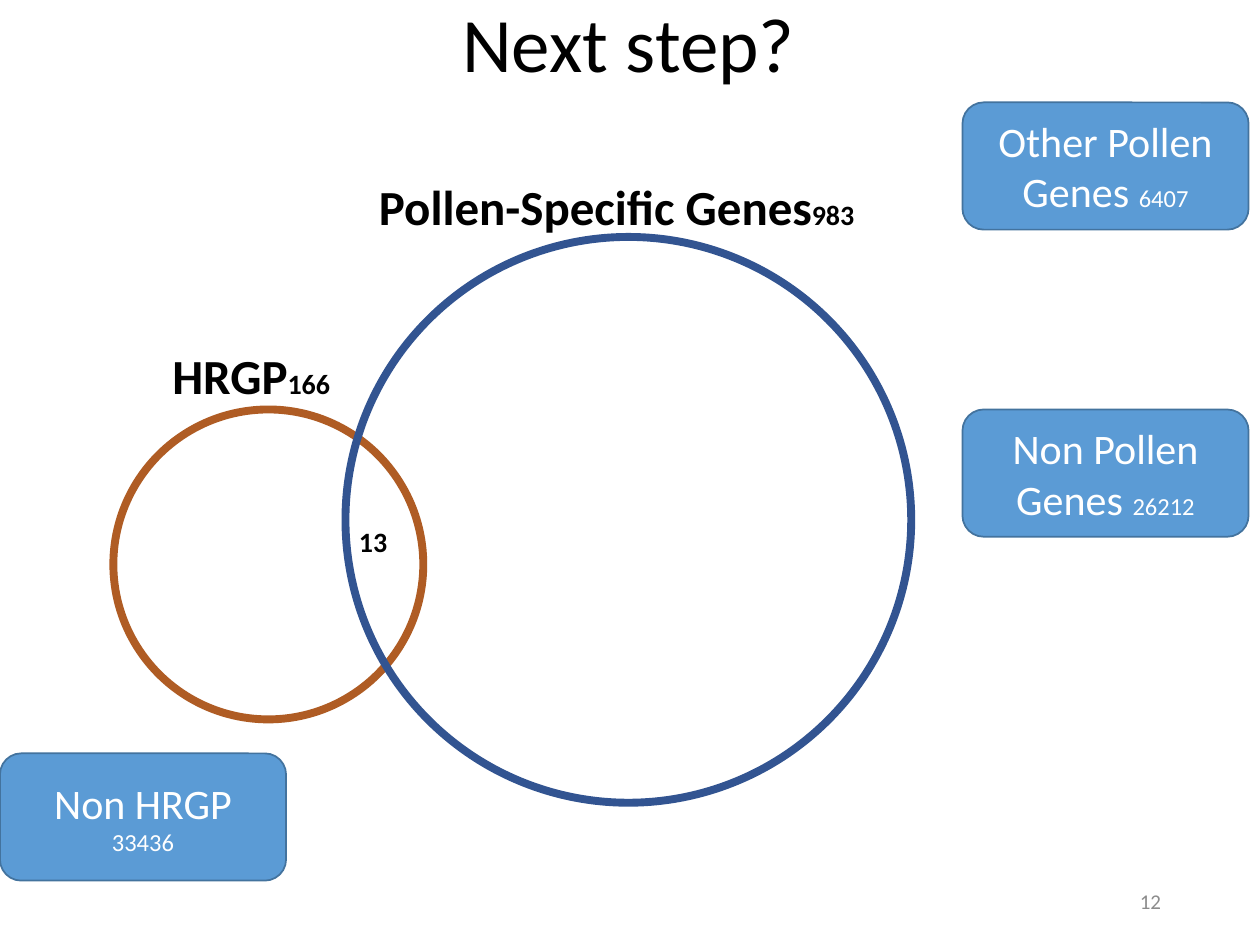
from pptx import Presentation
from pptx.dml.color import RGBColor
from pptx.enum.shapes import MSO_SHAPE
from pptx.enum.text import MSO_ANCHOR, PP_ALIGN
from pptx.util import Pt

OVAL, ROUNDED = MSO_SHAPE.OVAL, MSO_SHAPE.ROUNDED_RECTANGLE
TOP, MIDDLE = MSO_ANCHOR.TOP, MSO_ANCHOR.MIDDLE
LEFT, CENTER, RIGHT = PP_ALIGN.LEFT, PP_ALIGN.CENTER, PP_ALIGN.RIGHT


def color(value):
    return RGBColor.from_string(value)


def write(shape, spans, ink, bold=False, align=LEFT, anchor=TOP):
    """Fill a shape with one paragraph made of (text, size) spans."""
    frame = shape.text_frame
    frame.word_wrap = True
    frame.vertical_anchor = anchor
    para = frame.paragraphs[0]
    para.alignment = align
    for text, size in spans:
        span = para.add_run()
        span.text = text
        span.font.name = "Calibri"
        span.font.size = Pt(size)
        span.font.bold = bold
        span.font.color.rgb = color(ink)
    return para


deck = Presentation()
deck.slide_width, deck.slide_height = Pt(720), Pt(540)
slide = deck.slides.add_slide(deck.slide_layouts[5])
shapes = slide.shapes

# Title
title = shapes.title
title.left, title.top, title.width, title.height = Pt(257), Pt(0), Pt(221), Pt(81.4)
write(title, [("Next step?", 44)], "000000").line_spacing = 0.9

# Venn circles: left, top, diameter, outline
circles = [
    (64.8, 234, 177.1, "AF5C24"),
    (197.4, 135.4, 323.3, "325491"),
]
for left, top, diameter, outline in circles:
    circle = shapes.add_shape(OVAL, Pt(left), Pt(top), Pt(diameter), Pt(diameter))
    circle.shadow.inherit = False
    circle.fill.background()
    circle.line.color.rgb = color(outline)
    circle.line.width = Pt(4.5)

# Set names and counts
labels = [
    (91.4, 193.7, 123.8, 41, [("HRGP", 28), ("166", 16)]),
    (209.5, 97.2, 306.7, 41, [("Pollen-Specific Genes", 28), ("983", 16)]),
    (198, 296, 35.3, 26.6, [("13", 16)]),
]
for left, top, width, height, spans in labels:
    label = shapes.add_textbox(Pt(left), Pt(top), Pt(width), Pt(height))
    write(label, spans, "000000", bold=True)

# Boxes for genes outside the sets
boxes = [
    (550, 58.5, "Other Pollen Genes ", "6407"),
    (550, 234, "Non Pollen Genes ", "26212"),
    (0, 430.5, "Non HRGP ", "33436"),
]
for left, top, name, count in boxes:
    box = shapes.add_shape(ROUNDED, Pt(left), Pt(top), Pt(163.5), Pt(72.7))
    box.shadow.inherit = False
    box.fill.solid()
    box.fill.fore_color.rgb = color("5B9BD5")
    box.line.color.rgb = color("43739E")
    box.line.width = Pt(1)
    write(box, [(name, 24), (count, 14)], "FFFFFF", align=CENTER, anchor=MIDDLE)

# Slide number
number = shapes.add_textbox(Pt(508.5), Pt(500.5), Pt(162), Pt(28.8))
write(number, [("12", 12)], "8C8C8C", align=RIGHT, anchor=MIDDLE)

deck.save("out.pptx")
